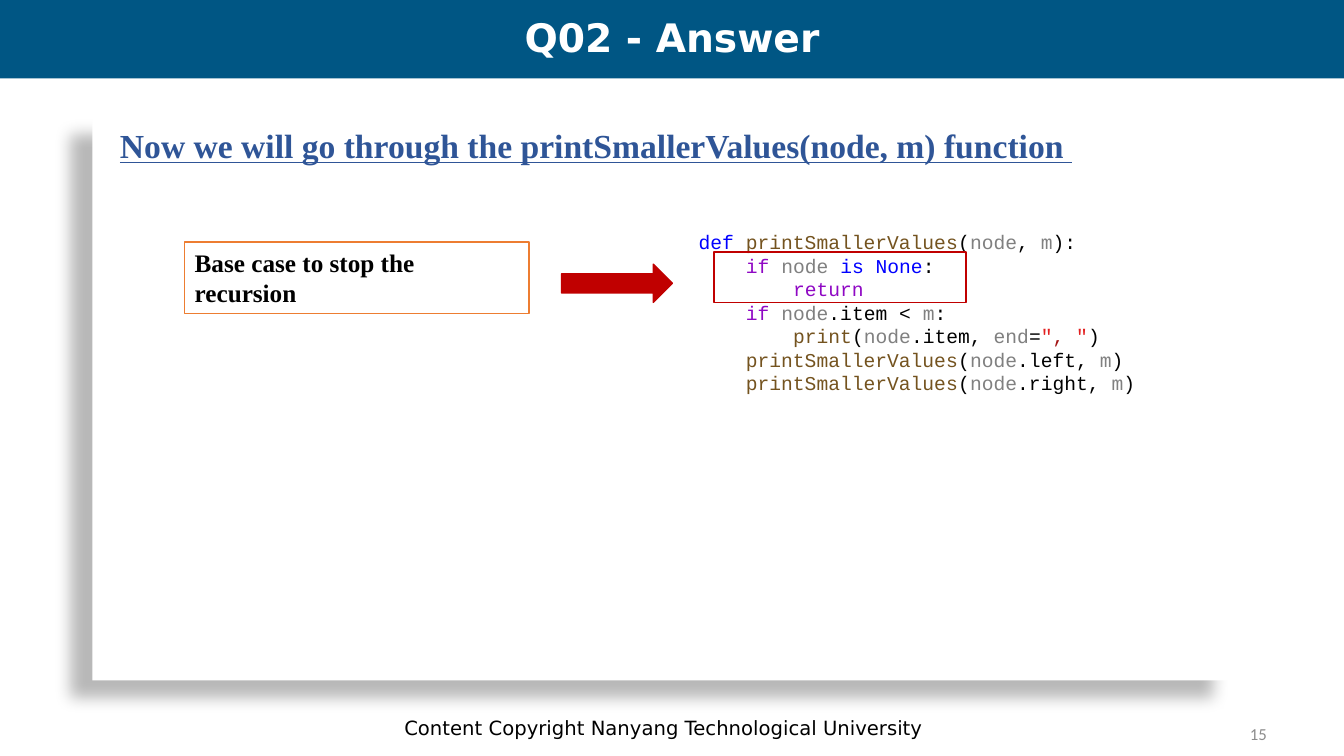
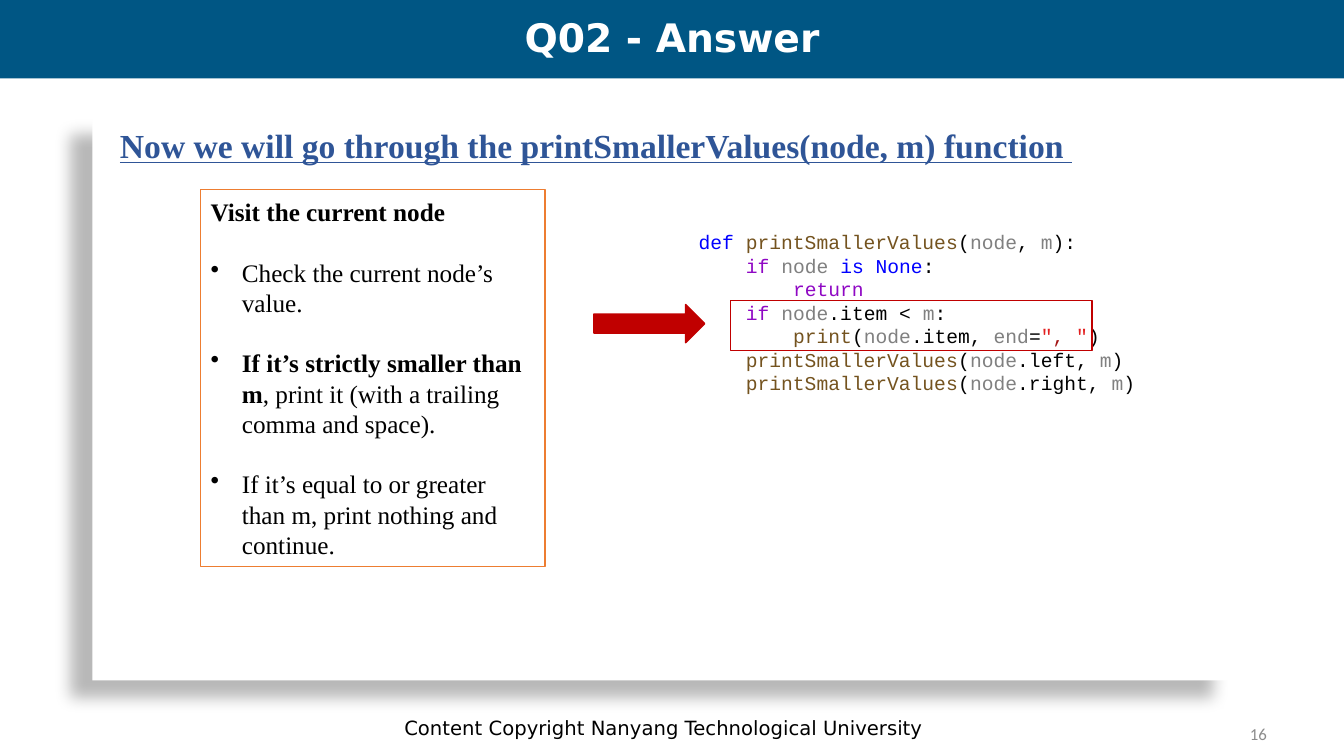
from dataclasses import dataclass

from lxml import etree
from pptx import Presentation
from pptx.dml.color import RGBColor
from pptx.enum.shapes import MSO_SHAPE
from pptx.enum.text import MSO_ANCHOR, MSO_AUTO_SIZE, PP_ALIGN
from pptx.oxml.ns import qn
from pptx.util import Emu, Inches, Pt

RECTANGLE, RIGHT_ARROW = MSO_SHAPE.RECTANGLE, MSO_SHAPE.RIGHT_ARROW
LEFT, CENTER, RIGHT = PP_ALIGN.LEFT, PP_ALIGN.CENTER, PP_ALIGN.RIGHT
TOP, MIDDLE = MSO_ANCHOR.TOP, MSO_ANCHOR.MIDDLE
NO_AUTOSIZE = MSO_AUTO_SIZE.NONE

# The slide is a grid of 160 columns by 90 rows
COLUMNS, ROWS = 160, 90
SLIDE_WIDTH, SLIDE_HEIGHT = Inches(13.33), Inches(7.5)
TITLE_ONLY = 5
FIRST_NUMBER = 15


@dataclass(frozen=True)
class TextStyle:
    font: str
    size: float
    color: str
    bold: bool = False
    underline: bool = False
    align: PP_ALIGN = LEFT
    anchor: MSO_ANCHOR = TOP
    spacing: object = 1.0


@dataclass(frozen=True)
class Theme:
    white: str = "FFFFFF"
    band: str = "005684"
    accent: str = "C00000"
    frame: str = "ED7D31"
    shadow: str = "000000"
    title: TextStyle = TextStyle("DejaVu Sans", 28, "FFFFFF", bold=True,
                                 align=CENTER, anchor=MIDDLE, spacing=0.9)
    heading: TextStyle = TextStyle("Times New Roman", 24, "2F5597", bold=True,
                                   underline=True, spacing=Pt(28.8))
    note: TextStyle = TextStyle("Times New Roman", 18, "000000",
                                anchor=MIDDLE, spacing=Pt(21.6))
    code: TextStyle = TextStyle("Courier New", 14, "000000", spacing=Pt(16.8))
    footer: TextStyle = TextStyle("DejaVu Sans", 14, "000000",
                                  align=CENTER, anchor=MIDDLE)
    number: TextStyle = TextStyle("Calibri", 12, "8C8C8C",
                                  align=RIGHT, anchor=MIDDLE)


THEME = Theme()


@dataclass(frozen=True)
class Area:
    column: float
    row: float
    columns: float
    rows: float

    def lengths(self) -> tuple:
        across, down = SLIDE_WIDTH / COLUMNS, SLIDE_HEIGHT / ROWS
        return (Emu(round(self.column * across)), Emu(round(self.row * down)),
                Emu(round(self.columns * across)), Emu(round(self.rows * down)))


@dataclass(frozen=True)
class Span:
    text: str
    color: str | None = None
    bold: bool | None = None


@dataclass(frozen=True)
class Para:
    spans: tuple
    bullet: bool = False
    gap: float = 0


@dataclass(frozen=True)
class Step:
    note: tuple
    note_area: Area
    arrow_area: Area
    highlight: Area


# Places shared by the slides
CARD = Area(11, 14, 136, 67)
BAND = Area(0, 0, COLUMNS, 9.35)
TITLE = Area(0, 0.5, COLUMNS, 8.5)
HEADING = Area(13.1, 14.3, 130, 6)
CODE = Area(82, 26.8, 57, 20.8)
FOOTER = Area(21.5, 84.25, 115, 4.8)
NUMBER = Area(114.7, 85, 37.3, 4.8)

# Code colours by kind of word
KEYWORD, FLOW, CALL, NAME = "0000FF", "8F08C4", "74531F", "808080"
QUOTE, STRING = "E21F1F", "A31515"


def recursive_call(side: str) -> tuple:
    return (Span("    "), Span("printSmallerValues", CALL), Span("("),
            Span("node", NAME), Span(f".{side}, "), Span("m", NAME), Span(")"))


CODE_LINES = (
    (Span("def ", KEYWORD), Span("printSmallerValues", CALL), Span("("),
     Span("node", NAME), Span(", "), Span("m", NAME), Span("):")),
    (Span("    "), Span("if ", FLOW), Span("node ", NAME),
     Span("is None", KEYWORD), Span(":")),
    (Span("        "), Span("return", FLOW)),
    (Span("    "), Span("if ", FLOW), Span("node", NAME), Span(".item < "),
     Span("m", NAME), Span(":")),
    (Span("        "), Span("print", CALL), Span("("), Span("node", NAME),
     Span(".item, "), Span("end", NAME), Span("="), Span('"', QUOTE),
     Span(", ", STRING), Span('"', QUOTE), Span(")")),
    recursive_call("left"),
    recursive_call("right"),
)


def bullet(*spans: Span) -> Para:
    return Para(spans, bullet=True, gap=THEME.note.spacing.pt)


STEPS = (
    Step(
        (Para((Span("Base case to stop the recursion", bold=True),)),),
        Area(22, 28.8, 41, 8.5), Area(66.85, 31.45, 13.2, 4.55),
        Area(85, 30, 30, 6),
    ),
    Step(
        (Para((Span("Visit the current node", bold=True),)),
         bullet(Span("Check the current node’s value.")),
         bullet(Span("If it’s strictly smaller than m", bold=True),
                Span(", print it (with a trailing comma and space).")),
         bullet(Span("If it’s equal to or greater than m, print nothing and continue."))),
        Area(23.9, 22.55, 41, 44.9), Area(70.7, 36.25, 13.2, 4.55),
        Area(87, 35.75, 43, 6),
    ),
)


def set_values(target, values: dict) -> None:
    for name, value in values.items():
        setattr(target, name, value)


def add_bullet(para) -> None:
    properties = para._p.get_or_add_pPr()
    properties.set("marL", str(Inches(0.31)))
    properties.set("indent", str(-Inches(0.31)))
    etree.SubElement(properties, qn("a:buChar")).set("char", "•")


def write_text(box, paras: tuple, style: TextStyle) -> None:
    frame = box.text_frame
    set_values(frame, {"word_wrap": True, "auto_size": NO_AUTOSIZE,
                       "vertical_anchor": style.anchor})
    for index, content in enumerate(paras):
        para = frame.paragraphs[0] if index == 0 else frame.add_paragraph()
        if content.bullet:
            add_bullet(para)
        set_values(para, {"alignment": style.align, "line_spacing": style.spacing,
                          "space_before": Pt(content.gap)})
        for span in content.spans:
            run = para.add_run()
            run.text = span.text
            bold = style.bold if span.bold is None else span.bold
            set_values(run.font, {"name": style.font, "size": Pt(style.size),
                                  "bold": bold, "underline": style.underline})
            run.font.color.rgb = RGBColor.from_string(span.color or style.color)


def add_text(page, area: Area, paras: tuple, style: TextStyle) -> None:
    write_text(page.shapes.add_textbox(*area.lengths()), paras, style)


def add_line_of_text(page, area: Area, text: str, style: TextStyle) -> None:
    add_text(page, area, (Para((Span(text),)),), style)


def add_box(page, area: Area, kind=RECTANGLE, fill: str | None = None,
            line: str | None = None):
    box = page.shapes.add_shape(kind, *area.lengths())
    box.shadow.inherit = False
    if fill:
        box.fill.solid()
        box.fill.fore_color.rgb = RGBColor.from_string(fill)
    else:
        box.fill.background()
    if line:
        box.line.color.rgb = RGBColor.from_string(line)
        box.line.width = Pt(1)
    else:
        box.line.fill.background()
    return box


def add_shadow(box) -> None:
    effects = box.element.spPr.find(qn("a:effectLst"))
    shadow = etree.SubElement(effects, qn("a:outerShdw"))
    for name, value in {"blurRad": Pt(11.8), "dist": Pt(19.7),
                        "dir": 141 * 60000, "rotWithShape": 0}.items():
        shadow.set(name, str(value))
    color = etree.SubElement(shadow, qn("a:srgbClr"))
    color.set("val", THEME.shadow)
    etree.SubElement(color, qn("a:alpha")).set("val", "28000")


def add_page(deck, number: int):
    """Add a slide with its card, band, title, heading and footers."""
    page = deck.slides.add_slide(deck.slide_layouts[TITLE_ONLY])
    add_shadow(add_box(page, CARD, fill=THEME.white))
    add_box(page, BAND, fill=THEME.band)
    add_line_of_text(page, FOOTER, "Content Copyright Nanyang Technological University",
                     THEME.footer)
    add_line_of_text(page, NUMBER, str(number), THEME.number)

    # The title goes in front of the band
    title = page.shapes.title
    page.shapes.element.append(title.element)
    set_values(title, dict(zip(("left", "top", "width", "height"), TITLE.lengths())))
    write_text(title, (Para((Span("Q02 - Answer"),)),), THEME.title)
    add_line_of_text(page, HEADING,
                     "Now we will go through the printSmallerValues(node, m) function ",
                     THEME.heading)
    return page


def add_step(page, step: Step) -> None:
    """Explain one part of the code with a note, an arrow and a highlight."""
    add_text(page, CODE, tuple(Para(line) for line in CODE_LINES), THEME.code)
    note = add_box(page, step.note_area, line=THEME.frame)
    write_text(note, step.note, THEME.note)
    add_box(page, step.arrow_area, RIGHT_ARROW, THEME.accent, THEME.accent)
    add_box(page, step.highlight, line=THEME.accent)


def main() -> None:
    deck = Presentation()
    set_values(deck, {"slide_width": SLIDE_WIDTH, "slide_height": SLIDE_HEIGHT})
    for number, step in enumerate(STEPS, FIRST_NUMBER):
        add_step(add_page(deck, number), step)
    deck.save("out.pptx")


if __name__ == "__main__":
    main()
